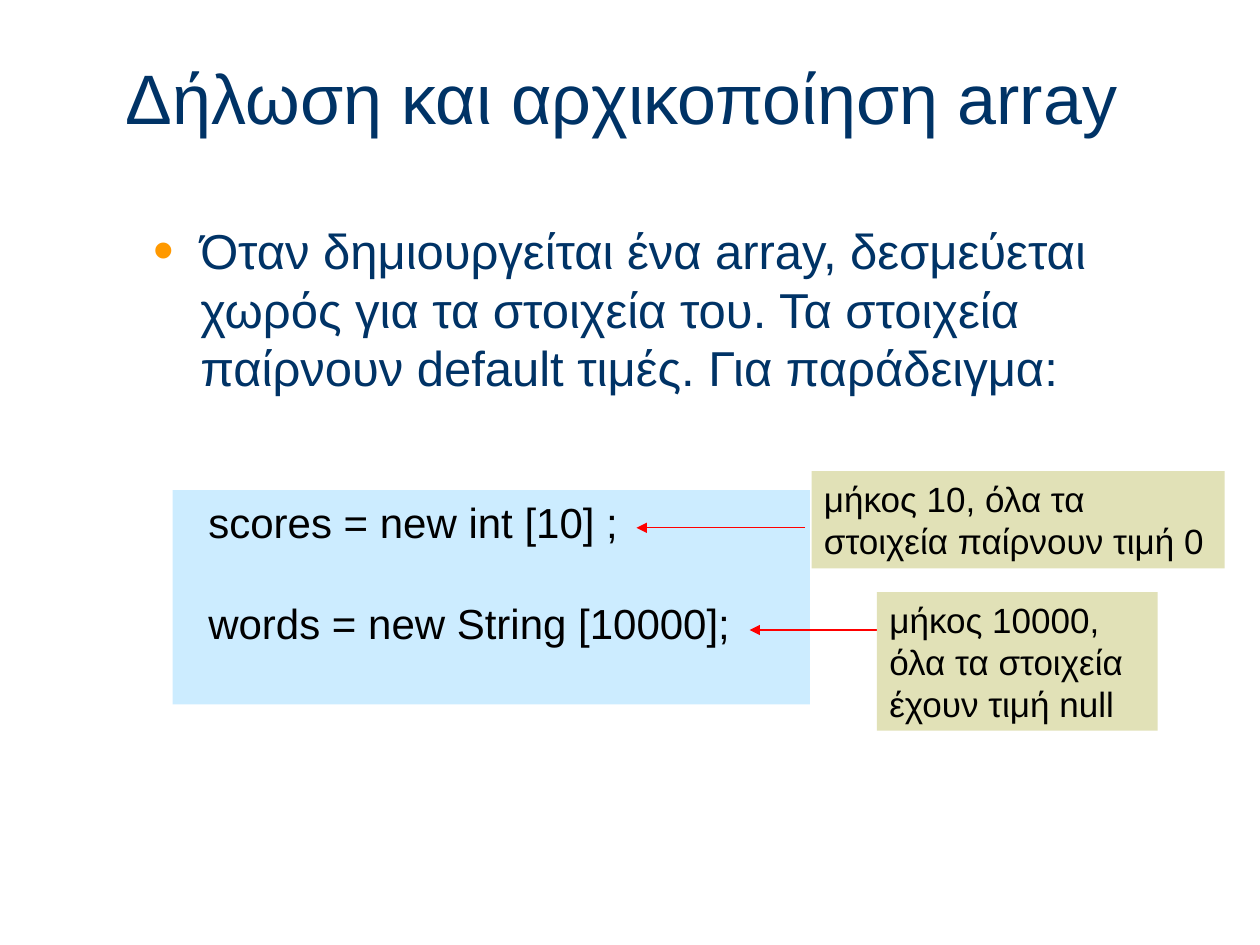
from dataclasses import dataclass

from lxml import etree
from pptx import Presentation
from pptx import util as u
from pptx.dml.color import RGBColor
from pptx.enum import shapes, text
from pptx.oxml import ns


@dataclass(frozen=True)
class Theme:
    font: str = "Arial"
    heading: str = "003366"
    ink: str = "000000"
    bullet: str = "FF9900"
    code_fill: str = "CCECFF"
    note_fill: str = "E1E1B7"
    arrow: str = "FF0000"
    title_size: int = 40
    body_size: int = 28
    code_size: int = 24
    note_size: int = 20
    line_height: float = 1.2


THEME = Theme()


def color(value):
    return RGBColor.from_string(value)


def add_xml(parent, tag, **attributes):
    return etree.SubElement(parent, ns.qn(tag), attributes)


def write_paragraph(paragraph, words, size, ink):
    paragraph.alignment = text.PP_ALIGN.LEFT
    paragraph.line_spacing = u.Pt(size * THEME.line_height)
    run = paragraph.add_run()
    run.text = words
    run.font.name = THEME.font
    run.font.size = u.Pt(size)
    run.font.color.rgb = color(ink)


def add_text(slide, box, words, size, anchor=text.MSO_ANCHOR.TOP):
    shape = slide.shapes.add_textbox(*map(u.Cm, box))
    frame = shape.text_frame
    frame.word_wrap = True
    frame.vertical_anchor = anchor
    write_paragraph(frame.paragraphs[0], words, size, THEME.heading)
    return frame.paragraphs[0]


def add_bullet(paragraph, indent):
    properties = paragraph._p.get_or_add_pPr()
    properties.set("marL", str(indent))
    properties.set("indent", str(-indent))
    bullet_color = add_xml(properties, "a:buClr")
    add_xml(bullet_color, "a:srgbClr", val=THEME.bullet)
    add_xml(properties, "a:buSzPct", val="120000")
    add_xml(properties, "a:buFont", typeface=THEME.font)
    add_xml(properties, "a:buChar", char="•")


def add_panel(slide, box, lines, size, fill, indent=0, gap=0):
    shape = slide.shapes.add_shape(shapes.MSO_SHAPE.RECTANGLE, *map(u.Cm, box))
    shape.shadow.inherit = False
    shape.fill.solid()
    shape.fill.fore_color.rgb = color(fill)
    shape.line.fill.background()
    frame = shape.text_frame
    frame.word_wrap = True
    frame.vertical_anchor = text.MSO_ANCHOR.TOP
    for index, line in enumerate(lines):
        paragraph = frame.add_paragraph() if index else frame.paragraphs[0]
        write_paragraph(paragraph, line, size, THEME.ink)
        if index:
            paragraph.space_before = u.Pt(gap)
        if indent:
            paragraph._p.get_or_add_pPr().set("marL", str(u.Cm(indent)))


def add_arrow(slide, start, end, y):
    arrow = slide.shapes.add_connector(
        shapes.MSO_CONNECTOR.STRAIGHT, u.Cm(start), u.Cm(y), u.Cm(end), u.Cm(y))
    arrow.line.color.rgb = color(THEME.arrow)
    arrow.line.width = u.Pt(0.75)
    add_xml(arrow.line._get_or_add_ln(), "a:tailEnd", type="triangle")
    add_xml(arrow._element.spPr, "a:effectLst")


def main():
    presentation = Presentation()
    presentation.slide_width = u.Cm(25.4)
    presentation.slide_height = u.Cm(19.05)
    slide = presentation.slides.add_slide(presentation.slide_layouts[6])

    # Title and explanation
    add_text(slide, (2.29, 0.76, 21.59, 2.39), "Δήλωση και αρχικοποίηση array",
             THEME.title_size, text.MSO_ANCHOR.MIDDLE)
    explanation = add_text(
        slide, (2.84, 4.32, 21.59, 3.89),
        "Όταν δημιουργείται ένα array, δεσμεύεται χωρός για τα στοιχεία του. "
        "Τα στοιχεία παίρνουν default τιμές. Για παράδειγμα:", THEME.body_size)
    add_bullet(explanation, u.Cm(0.95))

    # Code, one empty line apart
    add_panel(slide, (3.48, 9.88, 12.85, 4.32),
              ["scores = new int [10] ;", "words = new String [10000];"],
              THEME.code_size, THEME.code_fill, indent=0.47,
              gap=THEME.code_size * THEME.line_height)

    # Notes, each on top of the arrow that leads to its code line
    notes = [
        ((16.23, 12.83, 10.64), (16.36, 9.5, 8.33, 1.96),
         "μήκος 10, όλα τα στοιχεία παίρνουν τιμή 0"),
        ((18.54, 15.11, 12.7), (17.68, 11.94, 5.66, 2.79),
         "μήκος 10000, όλα τα στοιχεία έχουν τιμή null"),
    ]
    for arrow, box, words in notes:
        add_arrow(slide, *arrow)
        add_panel(slide, box, [words], THEME.note_size, THEME.note_fill)

    presentation.save("out.pptx")


if __name__ == "__main__":
    main()
